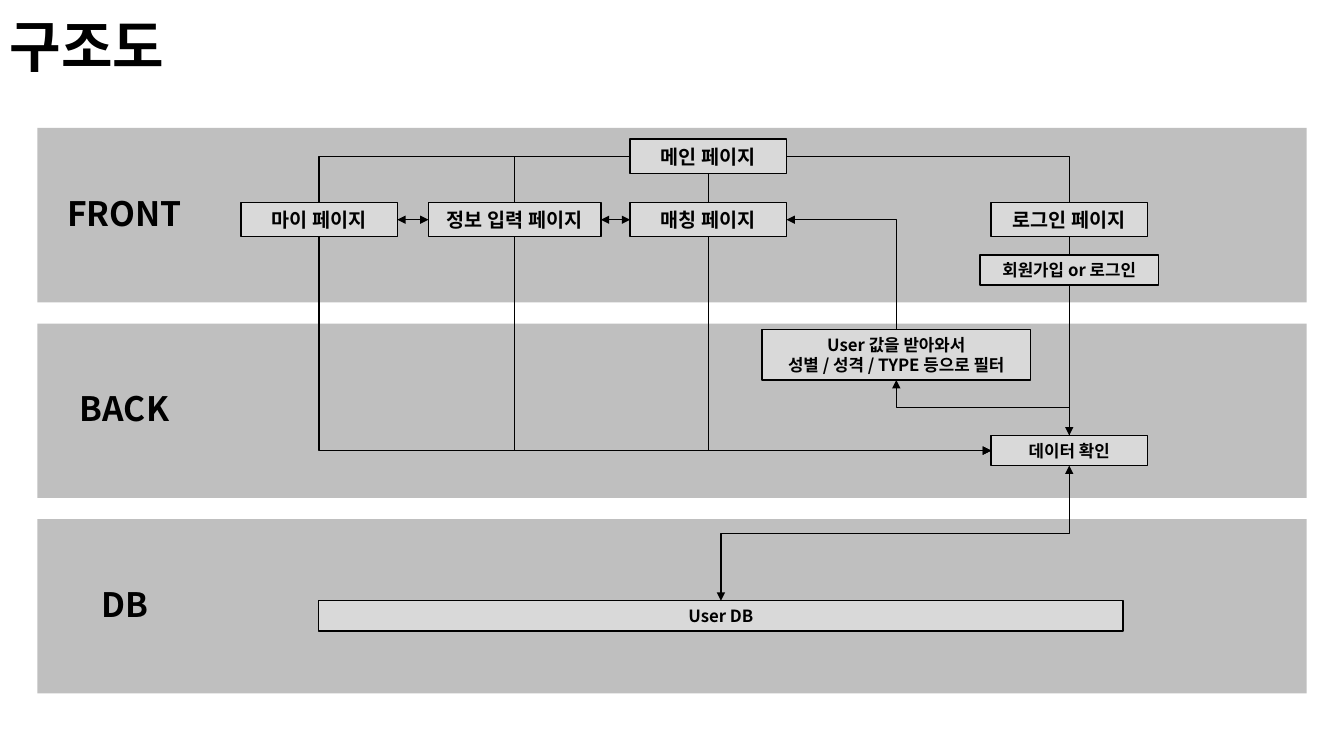
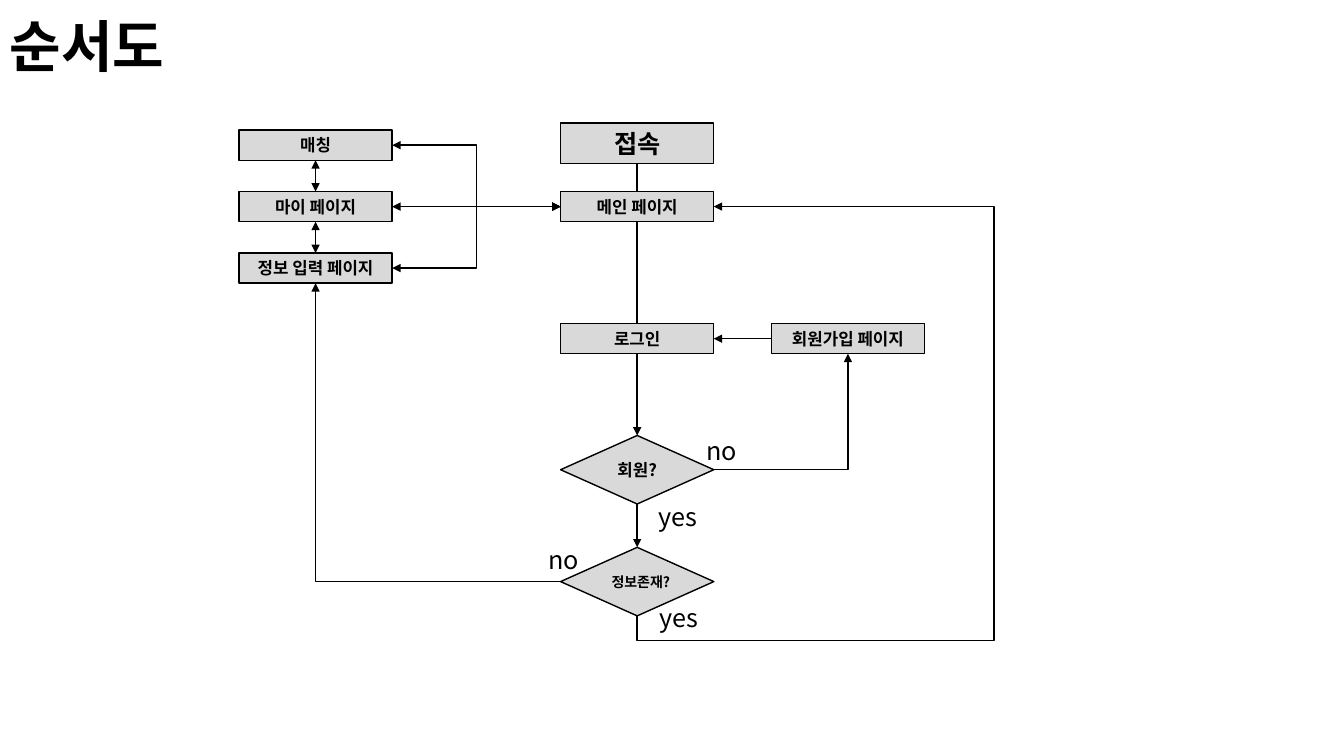
from dataclasses import dataclass

from pptx import Presentation
from pptx.dml.color import RGBColor
from pptx.enum import shapes as es, text as et
from pptx.oxml import ns
from pptx.util import Inches, Pt
from lxml import etree


@dataclass(frozen=True)
class Theme:
    font: str = "Noto Sans CJK KR"
    ink: str = "000000"
    band: str = "BFBFBF"
    node: str = "D9D9D9"
    line: float = 1
    title: int = 40
    head: int = 24
    label: int = 18
    page: int = 14
    body: int = 12
    small: int = 10


T = Theme()
RECT = es.MSO_SHAPE.RECTANGLE
DIAMOND = es.MSO_SHAPE.FLOWCHART_DECISION
TOP, LEFT, BOTTOM, RIGHT = range(4)


def color(code):
    return RGBColor.from_string(code)


def sub(parent, tag, **attrs):
    node = etree.SubElement(parent, ns.qn(tag))
    for name, value in attrs.items():
        node.set(name, value)
    return node


def write(shape, words, size=T.body, bold=True, center=True, middle=True, space=None):
    frame = shape.text_frame
    frame.word_wrap = True
    frame.vertical_anchor = et.MSO_ANCHOR.MIDDLE if middle else et.MSO_ANCHOR.TOP
    for i, line in enumerate(words.split("\n")):
        para = frame.paragraphs[0] if i == 0 else frame.add_paragraph()
        para.alignment = et.PP_ALIGN.CENTER if center else et.PP_ALIGN.LEFT
        if space:
            para.line_spacing = space
        run = para.add_run()
        run.text = line
        font = run.font
        font.name, font.size, font.bold = T.font, Pt(size), bold
        font.color.rgb = color(T.ink)
        sub(font._element, "a:ea", typeface=T.font)


def note(slide, box, words, **form):
    write(slide.shapes.add_textbox(*map(Inches, box)), words, center=False, **form)


def block(slide, box, fill, kind=RECT, edge=False):
    shape = slide.shapes.add_shape(kind, *map(Inches, box))
    shape.shadow.inherit = False
    shape.fill.solid()
    shape.fill.fore_color.rgb = color(fill)
    if edge:
        shape.line.color.rgb = color(T.ink)
        shape.line.width = Pt(T.line)
    else:
        shape.line.fill.background()
    return shape


def node(slide, box, words, size=T.body, kind=RECT):
    shape = block(slide, box, T.node, kind, edge=True)
    write(shape, words, size)
    return shape


def bend(link, upright, legs, adjust):
    x1, y1, x2, y2 = link.begin_x, link.begin_y, link.end_x, link.end_y
    dx, dy = x2 - x1, y2 - y1
    wide, high = abs(dx), abs(dy)
    if upright:
        wide, high = high, wide
        turn = 90 if dx * dy < 0 else 270
        flip_h = (dy < 0) == (turn == 90)
        flip_v = (dx > 0) == (turn == 90)
    else:
        turn = 180 if dx < 0 else 0
        flip_h, flip_v = False, (dy < 0) != (dx < 0)
    link.left, link.top = (x1 + x2 - wide) // 2, (y1 + y2 - high) // 2
    link.width, link.height = wide, high
    props = link._element.spPr
    form = props.find(ns.qn("a:xfrm"))
    form.set("rot", str(turn * 60000))
    form.set("flipH", str(int(flip_h)))
    form.set("flipV", str(int(flip_v)))
    shape = props.find(ns.qn("a:prstGeom"))
    shape.set("prst", f"bentConnector{legs}")
    guides = shape.find(ns.qn("a:avLst"))
    if guides is None:
        guides = sub(shape, "a:avLst")
    for i, value in enumerate(adjust, 1):
        sub(guides, "a:gd", name=f"adj{i}", fmla=f"val {value}")


def join(slide, start, out, end, into, legs=1, ends="", adjust=()):
    kind = es.MSO_CONNECTOR.STRAIGHT if legs == 1 else es.MSO_CONNECTOR.ELBOW
    link = slide.shapes.add_connector(kind, 0, 0, 0, 0)
    link.begin_connect(start, out)
    link.end_connect(end, into)
    if legs > 1:
        bend(link, out in (TOP, BOTTOM), legs, adjust)
    link.line.color.rgb = color(T.ink)
    link.line.width = Pt(T.line)
    line = link.line._get_or_add_ln()
    for end_name in ends.split():
        sub(line, f"a:{end_name}End", type="triangle")
    sub(link._element.spPr, "a:effectLst")


def page(deck, words):
    slide = deck.slides.add_slide(deck.slide_layouts[6])
    note(slide, (0, 0, 2.85, 0.98), words, size=T.title, space=0.9)
    return slide


def place(slide, box, parts):
    x, y = box[:2]
    return {
        key: node(slide, (x + left, y + top, wide, high), words, *rest)
        for key, (words, left, top, wide, high, *rest) in parts.items()
    }


def bands(slide, box, names):
    x, y, wide, high = box
    gap = 0.21
    each = (high - gap * (len(names) - 1)) / len(names)
    for i, name in enumerate(names):
        top = y + i * (each + gap)
        block(slide, (x, top, wide, each), T.band)
        label = block(slide, (x + 0.16, top + (each - 0.5) / 2, 1.41, 0.5), T.band)
        write(label, name, T.head, space=0.9)


def layers(slide, box):
    bands(slide, box, ("FRONT", "BACK", "DB"))
    wide, row = 1.55, 0.74
    n = place(slide, box, {
        "main": ("메인 페이지", 5.88, 0.11, wide, 0.34, T.page),
        "my": ("마이 페이지", 2.02, row, wide, 0.34, T.page),
        "info": ("정보 입력 페이지", 3.88, row, 1.71, 0.34, T.page),
        "match": ("매칭 페이지", 5.88, row, wide, 0.34, T.page),
        "login": ("로그인 페이지", 9.46, row, wide, 0.34, T.page),
        "sign": ("회원가입 or 로그인", 9.35, 1.26, 1.77, 0.3),
        "pick": ("User 값을 받아와서\n성별 / 성격 / TYPE 등으로 필터", 7.19, 2, 2.66, 0.5),
        "data": ("데이터 확인", 9.46, 3.05, wide, 0.3),
        "user": ("User DB", 2.79, 4.69, 7.98, 0.3),
    })
    for key in ("my", "info", "match"):
        join(slide, n[key], BOTTOM, n["data"], LEFT, 2, "tail")
    for key, side in (("my", LEFT), ("info", LEFT), ("login", RIGHT)):
        join(slide, n["main"], side, n[key], TOP, 2)
    join(slide, n["main"], BOTTOM, n["match"], TOP)
    join(slide, n["login"], BOTTOM, n["sign"], TOP)
    join(slide, n["sign"], BOTTOM, n["data"], TOP, ends="tail")
    for a, b in (("my", "info"), ("info", "match")):
        join(slide, n[a], RIGHT, n[b], LEFT, ends="head tail")
    join(slide, n["data"], TOP, n["pick"], BOTTOM, 3, "tail")
    join(slide, n["pick"], TOP, n["match"], RIGHT, 2, "tail")
    join(slide, n["data"], BOTTOM, n["user"], TOP, 3, "head tail")


def flow(slide, box):
    wide, high, mid = 1.52, 0.3, 3.19
    n = place(slide, box, {
        "enter": ("접속", mid, 0, wide, 0.4, T.label),
        "main": ("메인 페이지", mid, 0.68, wide, high),
        "login": ("로그인", mid, 1.99, wide, high),
        "member": ("회원?", mid, 3.1, wide, 0.68, T.body, DIAMOND),
        "known": ("정보존재?", mid, 4.21, wide, 0.68, T.small, DIAMOND),
        "sign": ("회원가입 페이지", 5.28, 1.99, wide, high),
        "match": ("매칭", 0, 0.07, wide, high),
        "my": ("마이 페이지", 0, 0.68, wide, high),
        "info": ("정보 입력 페이지", 0, 1.29, wide, high),
    })
    for a, b, ends in (
        ("enter", "main", ""),
        ("main", "login", ""),
        ("login", "member", "tail"),
        ("member", "known", "tail"),
        ("match", "my", "head tail"),
        ("my", "info", "head tail"),
    ):
        join(slide, n[a], BOTTOM, n[b], TOP, ends=ends)
    for key, legs in (("my", 1), ("match", 3), ("info", 3)):
        join(slide, n[key], RIGHT, n["main"], LEFT, legs, "head tail")
    join(slide, n["sign"], LEFT, n["login"], RIGHT, ends="tail")
    join(slide, n["member"], RIGHT, n["sign"], BOTTOM, 2, "tail")
    join(slide, n["known"], LEFT, n["info"], BOTTOM, 2, "tail")
    join(slide, n["known"], BOTTOM, n["main"], RIGHT, 4, "tail", (-6100, 465600))
    x, y = box[:2]
    for words, left, top, span in (
        ("yes", 4.06, 3.7, 0.85),
        ("no", 4.54, 3.05, 0.56),
        ("yes", 4.07, 4.71, 0.85),
        ("no", 2.97, 4.13, 0.56),
    ):
        note(slide, (x + left, y + top, span, 0.4), words,
             size=T.label, bold=False, middle=False)


def main():
    deck = Presentation()
    deck.slide_width, deck.slide_height = Inches(13.33), Inches(7.5)
    layers(page(deck, "구조도"), (0.37, 1.27, 12.59, 5.61))
    flow(page(deck, "순서도"), (2.37, 1.22, 7.5, 5.14))
    deck.save("out.pptx")


if __name__ == "__main__":
    main()
